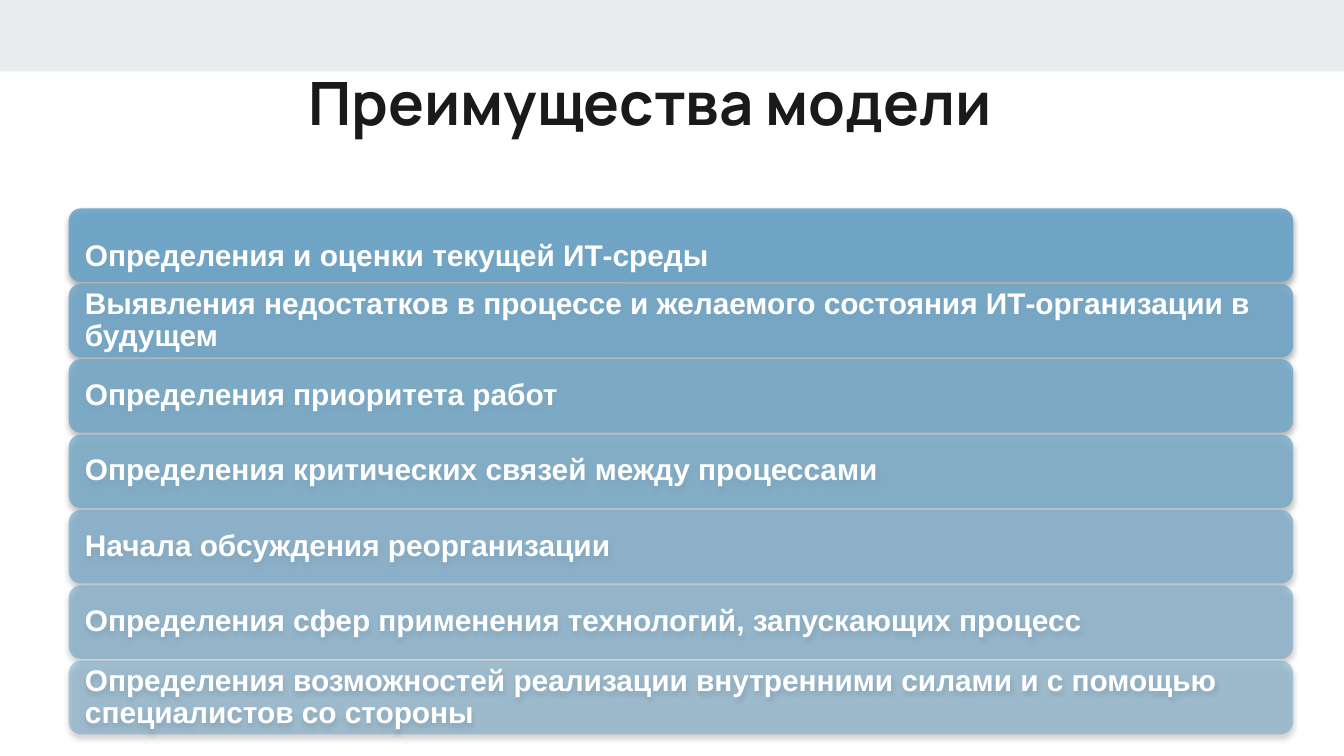
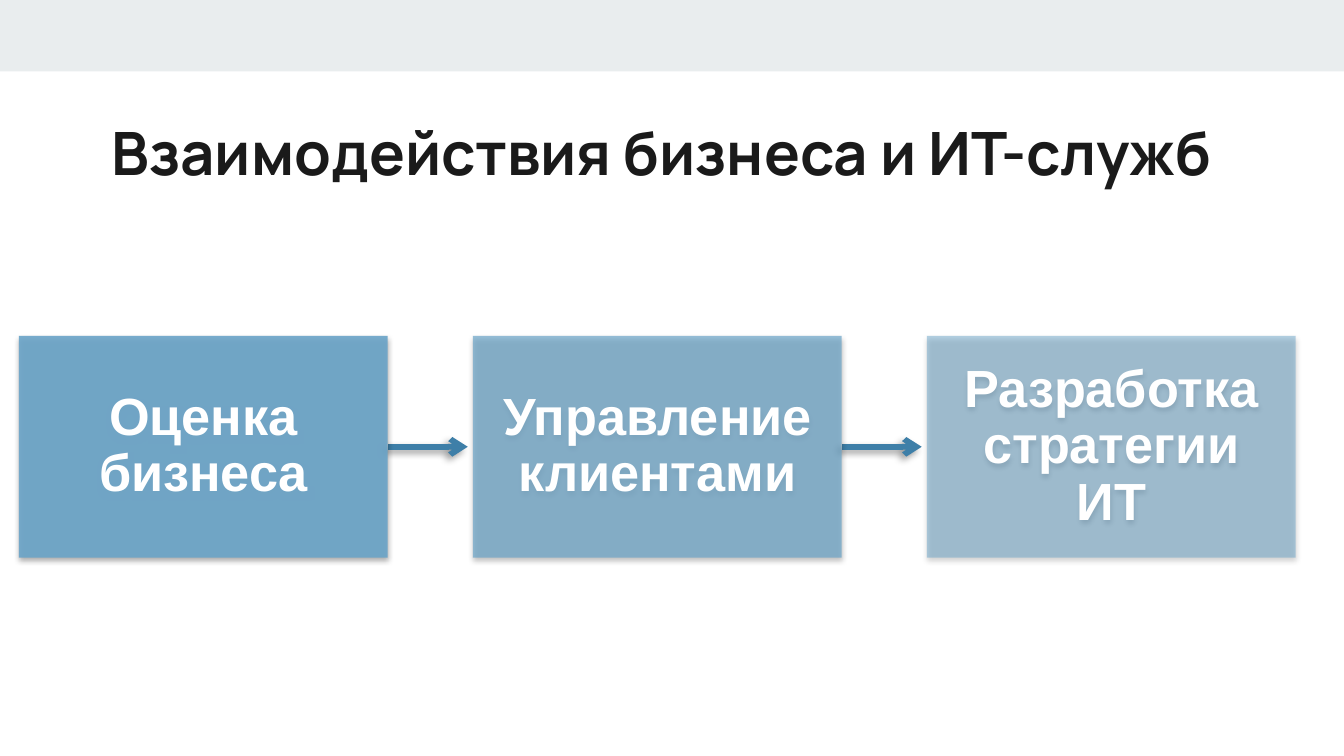
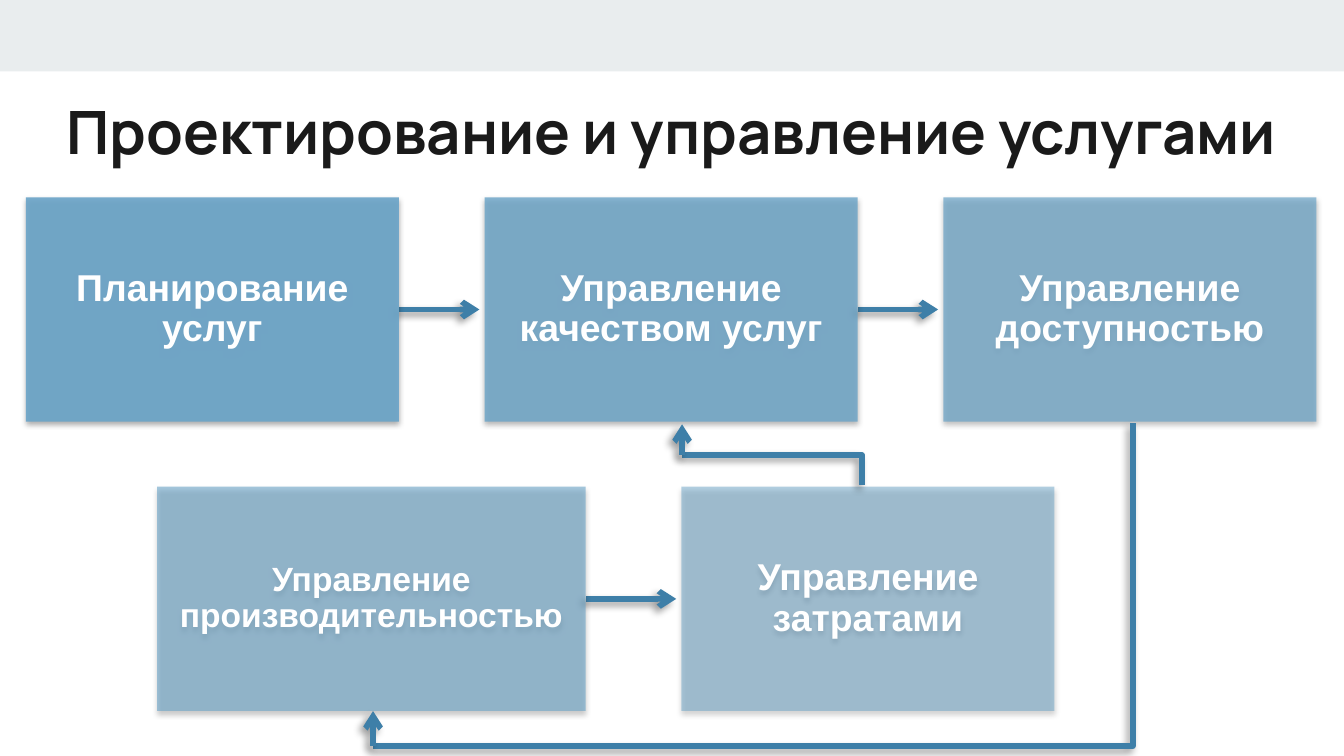
from dataclasses import dataclass
from itertools import pairwise

from lxml import etree
from pptx import Presentation
from pptx.dml.color import RGBColor
from pptx.enum import shapes, text
from pptx.oxml import ns
from pptx.util import Cm, Pt

RECT = shapes.MSO_SHAPE.RECTANGLE
ROUND = shapes.MSO_SHAPE.ROUNDED_RECTANGLE
LEFT, MID = text.PP_ALIGN.LEFT, text.PP_ALIGN.CENTER


@dataclass(frozen=True)
class Theme:
    band: str = "E9EDEE"
    ink: str = "1A1A1A"
    box: str = "6AA4C8"
    line: str = "3E7FA8"
    white: str = "FFFFFF"
    head: str = "Manrope"
    body: str = "Arial"
    title: int = 32
    large: int = 28
    mid: int = 20
    small: int = 18
    item: int = 16
    stroke: int = 3
    solid: int = 90  # opacity of the first and the last box, percent
    faint: int = 50


def node(root, tag, **attrs):
    return etree.SubElement(root, ns.qn(tag), {k: str(v) for k, v in attrs.items()})


def shade(props, blur, dist, angle, alpha):
    """Add an outer shadow; blur and distance are in points."""
    outer = node(node(props, "a:effectLst"), "a:outerShdw", blurRad=Pt(blur),
                 dist=Pt(dist), dir=angle * 60000, rotWithShape=0)
    node(node(outer, "a:srgbClr", val="000000"), "a:alpha", val=alpha * 1000)


def write(shape, words, size, font, color, align=MID, inset=0.25, space=1.0):
    frame = shape.text_frame
    frame.word_wrap = True
    frame.vertical_anchor = text.MSO_ANCHOR.MIDDLE
    frame.margin_left = frame.margin_right = Cm(inset)
    frame.margin_top = frame.margin_bottom = Cm(inset)
    para = frame.paragraphs[0]
    para.alignment, para.line_spacing = align, space
    run = para.add_run()
    run.text = words
    run.font.size, run.font.name, run.font.bold = Pt(size), font, True
    run.font.color.rgb = RGBColor.from_string(color)


class Deck:
    def __init__(self, theme):
        self.theme = theme
        self.file = Presentation()
        self.file.slide_width, self.file.slide_height = Cm(25.4), Cm(14.29)

    def page(self, title, *area):
        """Start a slide with the top band and a title in the given area."""
        look = self.theme
        self.slide = self.file.slides.add_slide(self.file.slide_layouts[6])
        band = self.shape(RECT, (0, 0, 25.4, 1.35), look.band)
        band.shadow.inherit = False
        label = self.slide.shapes.add_textbox(*map(Cm, area))
        write(label, title, look.title, look.head, look.ink)

    def shape(self, kind, area, color):
        item = self.slide.shapes.add_shape(kind, *map(Cm, area))
        item.fill.solid()
        item.fill.fore_color.rgb = RGBColor.from_string(color)
        item.line.fill.background()
        return item

    def box(self, words, area, part, size, kind=RECT, **form):
        """Draw a shadowed box; part runs from 0 (solid) to 1 (faint)."""
        look = self.theme
        item = self.shape(kind, area, look.box)
        props = item._element.spPr
        alpha = look.solid + (look.faint - look.solid) * part
        node(props.find(".//" + ns.qn("a:srgbClr")), "a:alpha", val=round(alpha * 1000))
        shade(props, 3.1, 1.8, 90, 35)
        write(item, words, size, look.body, look.white, **form)

    def link(self, start, end, arrow=True, bent=False):
        """Join two points; a bent link leaves its start vertically."""
        kind = shapes.MSO_CONNECTOR.ELBOW if bent else shapes.MSO_CONNECTOR.STRAIGHT
        item = self.slide.shapes.add_connector(kind, *map(Cm, start + end))
        item.line.color.rgb = RGBColor.from_string(self.theme.line)
        item.line.width = Pt(self.theme.stroke)
        props = item._element.spPr
        if bent:
            guides = props.find(".//" + ns.qn("a:avLst"))
            node(guides, "a:gd", name="adj1", fmla="val 0")
        if arrow:
            node(props.find(ns.qn("a:ln")), "a:tailEnd", type="arrow")
        shade(props, 4, 3, 135, 40)

    def row(self, top, high, cells):
        """Draw boxes (words, left, width, part, size) joined by arrows."""
        mid = top + high / 2
        for (_, left, wide, *_), (_, goal, *_) in pairwise(cells):
            self.link((left + wide, mid), (goal - 0.1, mid))
        for words, left, wide, part, size in cells:
            self.box(words, (left, top, wide, high), part, size,
                     inset=size * 0.02, space=0.9)


def gains(deck):
    deck.page("Преимущества модели", 0.46, 1.12, 23.67, 1.6)
    items = [
        "Определения и оценки текущей ИТ-среды",
        "Выявления недостатков в процессе и желаемого состояния ИТ-организации в будущем",
        "Определения приоритета работ",
        "Определения критических связей между процессами",
        "Начала обсуждения реорганизации",
        "Определения сфер применения технологий, запускающих процесс",
        "Определения возможностей реализации внутренними силами и с помощью "
        "специалистов со стороны",
    ]
    for i, words in enumerate(items):
        part = i / (len(items) - 1)
        deck.box(words, (1.3, 3.94 + 8.55 * part, 23.14, 1.39), part, deck.theme.item,
                 kind=ROUND, align=LEFT, inset=0.24, space=0.9 if i else 1.5)


def teams(deck):
    deck.page("Взаимодействия бизнеса и ИТ-служб", 0.41, 1.73, 24.21, 2.29)
    names = ["Оценка бизнеса", "Управление клиентами", "Разработка стратегии ИТ"]
    deck.row(6.35, 4.19, [(name, 0.36 + 8.58 * i, 6.97, i / 2, deck.theme.large)
                          for i, name in enumerate(names)])


def design(deck):
    deck.page("Проектирование и управление услугами", 0, 1.3, 25.4, 2.34)
    look, high = deck.theme, 4.24
    names = ["Планирование услуг", "Управление качеством услуг",
             "Управление доступностью"]
    deck.row(3.73, high, [(name, 0.49 + 8.67 * i, 7.05, i / 4, look.mid)
                          for i, name in enumerate(names)])
    deck.row(9.2, high, [
        ("Управление производительностью", 2.97, 8.1, 0.75, look.small),
        ("Управление затратами", 12.88, 7.05, 1, look.mid),
    ])
    loops = [
        ((21.41, 8.0), (7.05, 14.1), 13.44),
        ((16.29, 9.17), (12.89, 8.6), 8.02),
    ]
    for start, turn, tip in loops:
        deck.link(start, turn, arrow=False, bent=True)
        deck.link(turn, (turn[0], tip))


def main():
    deck = Deck(Theme())
    for draw in (gains, teams, design):
        draw(deck)
    deck.file.save("out.pptx")


if __name__ == "__main__":
    main()
